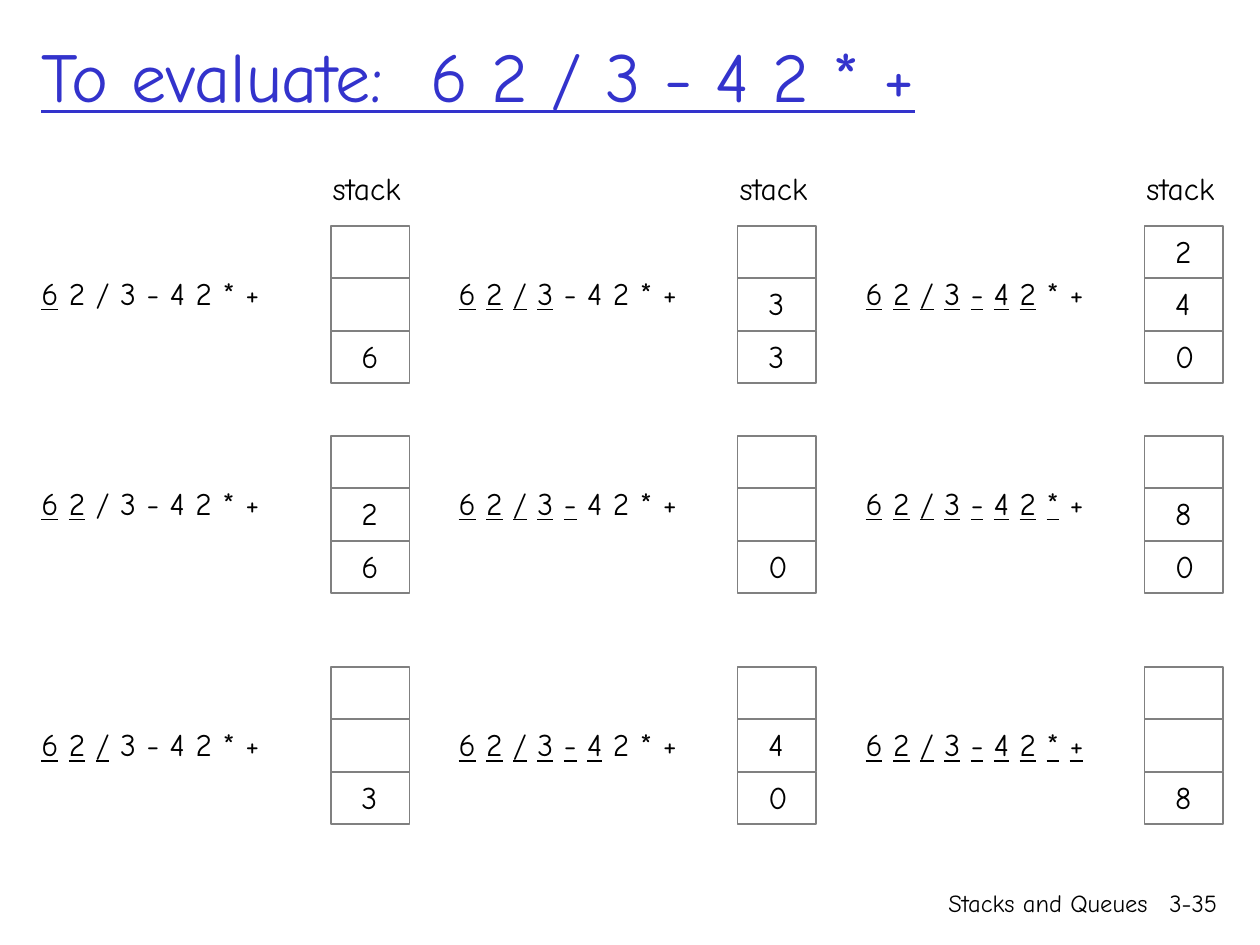
from pptx import Presentation
from pptx.dml.color import RGBColor
from pptx.enum.shapes import MSO_SHAPE as Shape
from pptx.enum.text import MSO_ANCHOR as Anchor, MSO_AUTO_SIZE as AutoSize, PP_ALIGN as Align
from pptx.util import Emu, Pt

EMU_PER_PX = 9525  # 96 px to the inch
FONT = "Comic Neue"
BLACK, BLUE, GREY = "000000", "3333CC", "808080"


def px(length):
    return Emu(length * EMU_PER_PX)


def color(hex_code):
    return RGBColor.from_string(hex_code)


def write(frame, text, *, size=18, fill=BLACK, align=Align.LEFT, underline=False,
          anchor=Anchor.TOP, wrap=True, fit=AutoSize.NONE):
    """Fill a frame with one paragraph; text is a string or (text, underline) pairs."""
    frame.word_wrap = wrap
    frame.auto_size = fit
    frame.vertical_anchor = anchor
    line = frame.paragraphs[0]
    line.alignment = align
    pieces = [(text, underline)] if isinstance(text, str) else text
    for piece, underlined in pieces:
        run = line.add_run()
        run.text = piece
        run.font.name = FONT
        run.font.size = Pt(size)
        run.font.color.rgb = color(fill)
        run.font.underline = underlined


class SlideBuilder:
    CELL_W, CELL_H, LEVELS = 60, 40, 3
    TEXT_H = 38

    def __init__(self, deck):
        self.slide = deck.slides.add_slide(deck.slide_layouts[5])

    def title(self, text, x, y, w, h):
        heading = self.slide.shapes.title
        heading.left, heading.top, heading.width, heading.height = map(px, (x, y, w, h))
        write(heading.text_frame, text, size=40, fill=BLUE, align=Align.LEFT,
              underline=True, anchor=Anchor.MIDDLE)

    def text(self, text, x, y, w, h, parent=None, **style):
        shapes = (parent or self.slide).shapes
        box = shapes.add_textbox(*map(px, (x, y, w, h)))
        write(box.text_frame, text, **style)

    def label(self, text, x, y, w, parent=None):
        self.text(text, x, y, w, self.TEXT_H, parent, wrap=False,
                  fit=AutoSize.SHAPE_TO_FIT_TEXT)

    def expression(self, tokens, done, x, y):
        """Underline the first `done` tokens, but not the spaces between them."""
        pieces = []
        for token in tokens[:done]:
            pieces += [(token, True), (" ", False)]
        if done < len(tokens):
            pieces.append((" ".join(tokens[done:]), False))
        else:
            pieces.pop()
        self.label(pieces, x, y, 199)

    def stack(self, values, x, y, caption=None):
        """Draw the cells top down; values are listed from the bottom up."""
        group = self.slide.shapes.add_group_shape()
        if caption:
            self.label(caption, x - 8, y - 48, 81, group)
        cell_tops = [y + level * self.CELL_H for level in range(self.LEVELS)]
        for top in cell_tops:
            cell = group.shapes.add_shape(
                Shape.RECTANGLE, *map(px, (x, top, self.CELL_W, self.CELL_H)))
            cell.shadow.inherit = False
            cell.fill.background()
            cell.line.color.rgb = color(GREY)
            cell.line.width = Pt(1)
        for value, top in zip(values, reversed(cell_tops)):
            self.label(value, x + 14, top, 35, group)


def main():
    deck = Presentation()
    deck.slide_width, deck.slide_height = px(960), px(720)
    page = SlideBuilder(deck)

    # Footer and title
    page.text("Stacks and Queues", 580, 672, 304, 48, size=14, align=Align.RIGHT)
    page.text("3-35", 872, 672, 65, 48, size=14, align=Align.RIGHT)
    postfix = "6 2 / 3 - 4 2 * +"
    page.title("To evaluate:  " + postfix, 22, 15, 816, 84)

    # Evaluation steps, running down each column; stacks from the bottom up
    tokens = postfix.split()
    stack_states = ["6", "62", "3", "33", "0", "04", "042", "08", "8"]
    columns = [(22, 252), (340, 562), (650, 872)]  # expression x, stack x
    rows = [(204, 172), (364, 332), (548, 508)]  # expression y, stack y
    for step, values in enumerate(stack_states):
        column, row = divmod(step, len(rows))
        expression_x, stack_x = columns[column]
        expression_y, stack_y = rows[row]
        page.expression(tokens, step + 1, expression_x, expression_y)
        page.stack(values, stack_x, stack_y, "stack" if row == 0 else None)

    deck.save("out.pptx")


if __name__ == "__main__":
    main()
